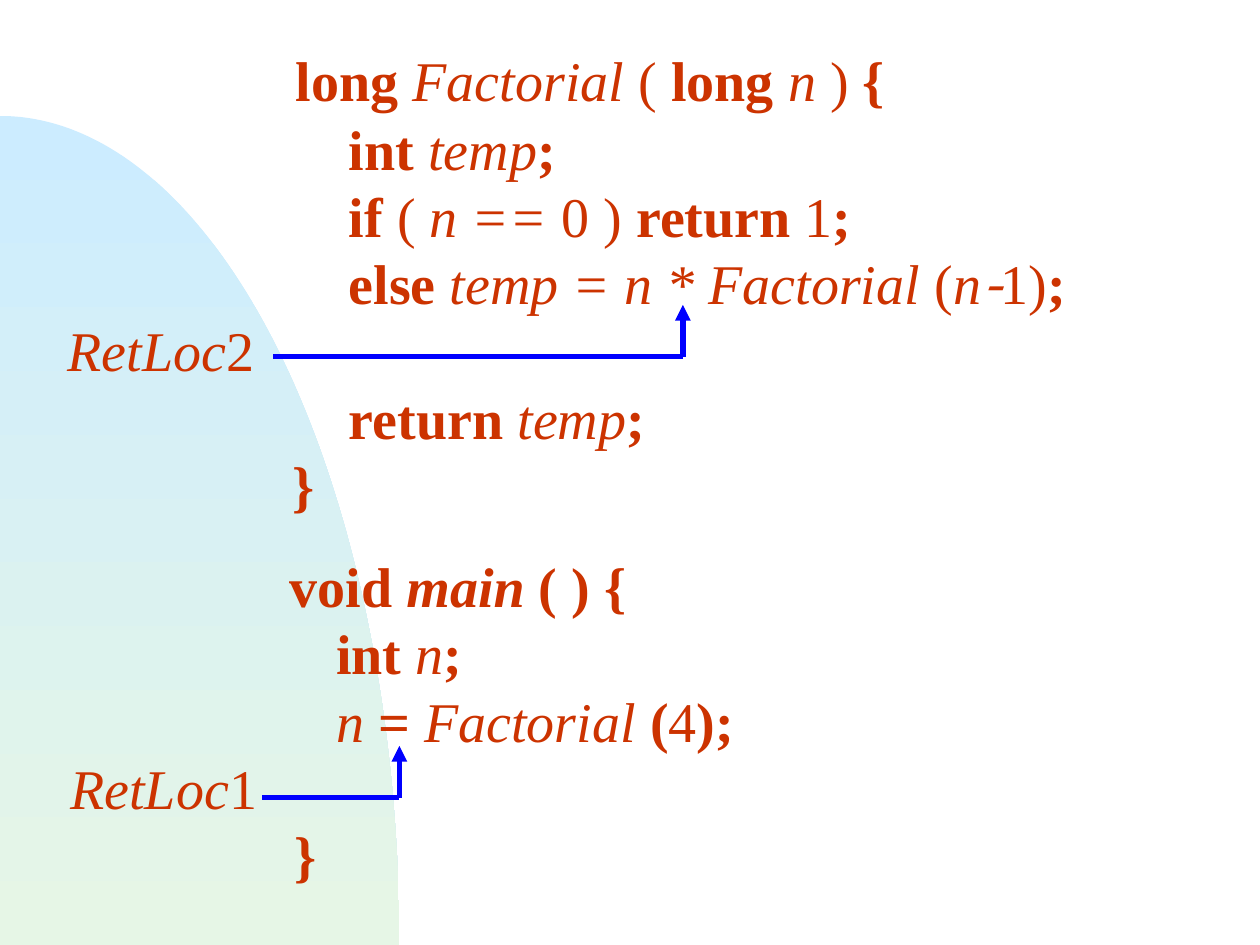
import math

import lxml.etree
import pptx
import pptx.dml.color
import pptx.enum.shapes
import pptx.oxml.ns
import pptx.util
from pptx.util import Inches

SERIF = "Times New Roman"
HYPHEN_FONT = "Noto Sans CJK SC"


def color(value):
    return pptx.dml.color.RGBColor.from_string(value)


def add_effect_element(parent, tag, **attributes):
    return lxml.etree.SubElement(parent, pptx.oxml.ns.qn(tag), attributes)


deck = pptx.Presentation()
deck.slide_width = Inches(10)
deck.slide_height = Inches(7.5)
page = deck.slides.add_slide(deck.slide_layouts[6])

radius_x, radius_y, steps = 3.17, 6.58, 90
angles = [math.pi / 2 * step / steps for step in range(steps + 1)]
arc = [
    (Inches(radius_x * math.sin(angle)), Inches(7.5 - radius_y * math.cos(angle)))
    for angle in angles
]
builder = page.shapes.build_freeform(0, Inches(7.5))
builder.add_line_segments(arc, close=True)
dome = builder.convert_to_shape()
dome.shadow.inherit = False
dome.line.fill.background()
dome.fill.gradient()
dome.fill.gradient_angle = 270
for stop, value in zip(dome.fill.gradient_stops, ("CCECFF", "E6F6E6")):
    stop.color.rgb = color(value)

factorial_lines = [
    (2.25, [("b", "long "), ("i", "Factorial "), ("", "( "), ("b", "long "),
            ("i", "n"), ("", " ) "), ("b", "{")]),
    (2.67, [("b", "int "), ("i", "temp"), ("b", ";")]),
    (2.67, [("b", "if"), ("", " ("), ("i", " n == "), ("", "0 ) "),
            ("b", "return"), ("", " 1"), ("b", ";")]),
    (2.67, [("b", "else "), ("i", "temp = n * Factorial"), ("", " ("),
            ("i", "n"), ("i", "-"), ("", "1)"), ("b", ";")]),
    (0.44, [("i", "RetLoc"), ("", "2")]),
    (2.67, [("b", "return "), ("i", "temp"), ("b", ";")]),
    (2.22, [("b", "}")]),
]
main_lines = [
    (2.07, [("b", "void "), ("bi", "main"), ("b", " ( ) {")]),
    (2.44, [("b", "int "), ("i", "n"), ("b", ";")]),
    (2.44, [("i", "n"), ("b", " = "), ("i", "Factorial"), ("b", " ("),
            ("", "4"), ("b", ");")]),
    (0.33, [("i", "RetLoc"), ("", "1")]),
    (2.11, [("b", "}")]),
]
listings = [
    ((0, 0.25, 10, 3.9), 0.11, 1, factorial_lines),
    ((0.13, 4.33, 9.62, 2.77), 0.05, 0, main_lines),
]
for place, top_inset, first_gap, lines in listings:
    box = page.shapes.add_textbox(*map(Inches, place))
    frame = box.text_frame
    frame.word_wrap = True
    frame.margin_top = Inches(top_inset)
    for number, (indent, pieces) in enumerate(lines):
        para = frame.add_paragraph() if number else frame.paragraphs[0]
        para._p.get_or_add_pPr().set("marL", str(Inches(indent)))
        para.line_spacing = pptx.util.Pt(38.4)
        para.space_after = pptx.util.Pt(0 if number else first_gap)
        para.font.name = SERIF
        para.font.size = pptx.util.Pt(32)
        para.font.color.rgb = color("CC3300")
        for style, text in pieces:
            span = para.add_run()
            span.text = text
            span.font.bold = "b" in style
            span.font.italic = "i" in style
            if text == "-":
                span.font.name = HYPHEN_FONT

return_arrows = [(2.17, 5.42, 2.83), (2.08, 3.17, 6.33)]
for left, right, level in return_arrows:
    segments = [
        (left, level, right, level, False),
        (right, level, right, level - 0.41, True),
    ]
    for *ends, has_head in segments:
        connector = page.shapes.add_connector(
            pptx.enum.shapes.MSO_CONNECTOR.STRAIGHT, *map(Inches, ends)
        )
        connector.line.color.rgb = color("0000FF")
        connector.line.width = pptx.util.Pt(3)
        if has_head:
            add_effect_element(connector.line._get_or_add_ln(), "a:tailEnd", type="triangle")
        add_effect_element(connector._element.spPr, "a:effectLst")

deck.save("out.pptx")
